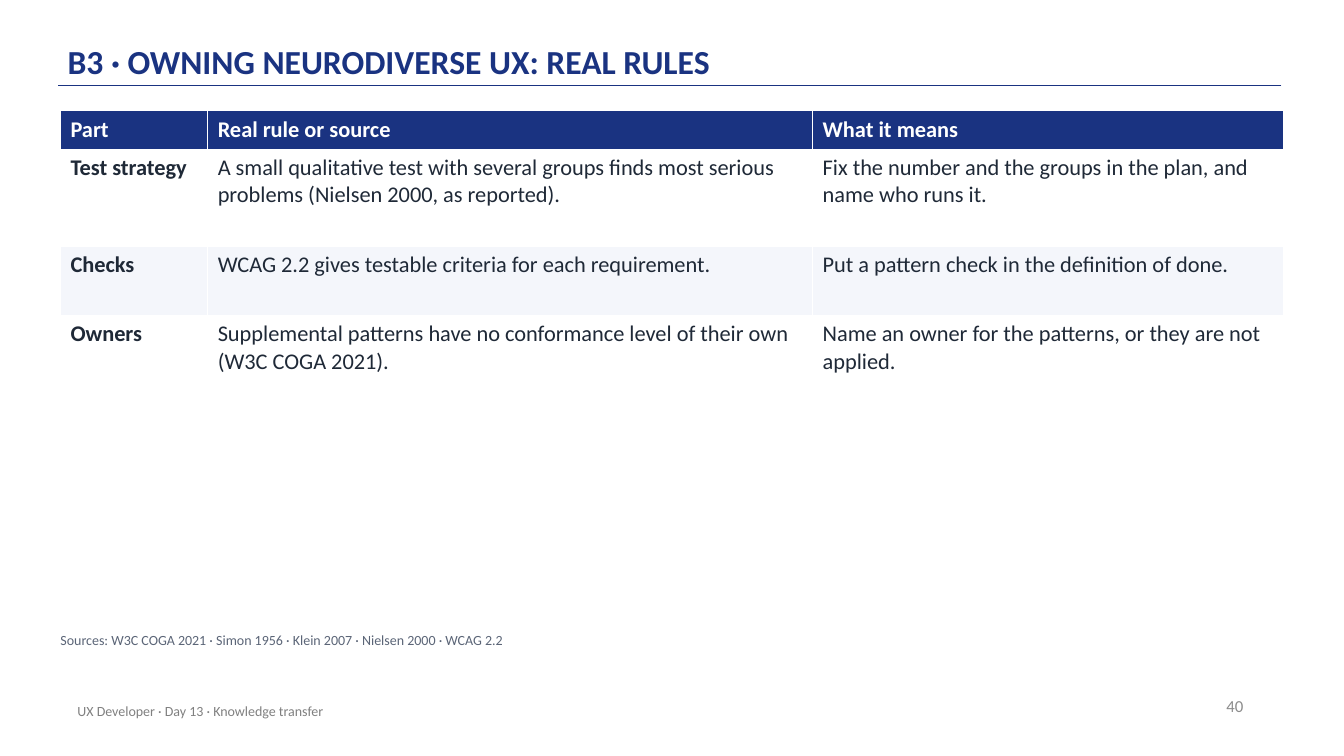
from lxml.etree import SubElement
from pptx import Presentation
from pptx.dml.color import RGBColor
from pptx.enum.shapes import MSO_CONNECTOR
from pptx.enum.text import MSO_ANCHOR, MSO_AUTO_SIZE, PP_ALIGN
from pptx.oxml.ns import qn
from pptx.util import Inches, Pt

COLORS = {
    "navy": "1A3381", "white": "FFFFFF", "band": "F4F6FB", "ink": "1F2937",
    "source": "5B6577", "footer": "808080", "number": "8C8C8C",
}
COLUMNS = [1.46, 6, 4.67]
ROW_HEIGHTS = [0.38, 0.96, 0.69, 0.69]
ROWS = [
    ["Part", "Real rule or source", "What it means"],
    ["Test strategy",
     "A small qualitative test with several groups finds most serious problems (Nielsen 2000, as reported).",
     "Fix the number and the groups in the plan, and name who runs it."],
    ["Checks", "WCAG 2.2 gives testable criteria for each requirement.",
     "Put a pattern check in the definition of done."],
    ["Owners", "Supplemental patterns have no conformance level of their own (W3C COGA 2021).",
     "Name an owner for the patterns, or they are not applied."],
]


def rgb(name):
    """Return the palette colour with this name."""
    return RGBColor.from_string(COLORS[name])


def write(tf, text, size, color, bold=False):
    """Set one paragraph of text, format its run and return the paragraph."""
    tf.text = text
    p = tf.paragraphs[0]
    font = p.runs[0].font
    font.name, font.size, font.bold = "Calibri", Pt(size), bold
    font.color.rgb = rgb(color)
    return p


def set_margins(tf, side, end):
    """Set the side and the top and bottom insets of a text frame."""
    tf.margin_left = tf.margin_right = Inches(side)
    tf.margin_top = tf.margin_bottom = Inches(end)


def add_heading(slide, left, top, width, height):
    """Place the title and the rule beneath it."""
    sp = slide.shapes.title
    sp.left, sp.top, sp.width, sp.height = map(Inches, (left, top, width, height))
    tf = sp.text_frame
    tf.word_wrap = True
    tf.auto_size = MSO_AUTO_SIZE.NONE
    tf.vertical_anchor = MSO_ANCHOR.BOTTOM
    set_margins(tf, 0, 0.03)
    p = write(tf, "B3 · OWNING NEURODIVERSE UX: REAL RULES", 24, "navy", True)
    p.alignment = PP_ALIGN.LEFT
    p.line_spacing = 0.9
    y = Inches(top + height + 0.01)
    line = slide.shapes.add_connector(
        MSO_CONNECTOR.STRAIGHT, Inches(left + 12.04), y, Inches(left - 0.09), y)
    line.line.color.rgb = rgb("navy")
    line.line.width = Pt(1)
    SubElement(line._element.spPr, qn("a:effectLst"))


def add_rules_table(slide, left, top):
    """Place the table of rules with banded body rows."""
    table = slide.shapes.add_table(
        len(ROWS), len(COLUMNS), Inches(left), Inches(top),
        Inches(sum(COLUMNS)), Inches(sum(ROW_HEIGHTS))).table
    for column, width in zip(table.columns, COLUMNS):
        column.width = Inches(width)
    for r, (texts, height) in enumerate(zip(ROWS, ROW_HEIGHTS)):
        table.rows[r].height = Inches(height)
        fill = "navy" if r == 0 else "white" if r % 2 else "band"
        for c, text in enumerate(texts):
            cell = table.cell(r, c)
            cell.fill.solid()
            cell.fill.fore_color.rgb = rgb(fill)
            write(cell.text_frame, text, 16, "ink" if r else "white", r == 0 or c == 0)


def add_label(slide, left, top, width, height, text, size, color):
    """Place a small text box and return its text frame."""
    sp = slide.shapes.add_textbox(*map(Inches, (left, top, width, height)))
    tf = sp.text_frame
    tf.word_wrap = True
    write(tf, text, size, color)
    return tf


def add_sources(slide, left, top, width, height):
    """Place the line of sources."""
    tf = add_label(slide, left, top, width, height,
                   "Sources: W3C COGA 2021 · Simon 1956 · Klein 2007 · Nielsen 2000 · WCAG 2.2",
                   10, "source")
    set_margins(tf, 0, 0)
    tf.auto_size = MSO_AUTO_SIZE.SHAPE_TO_FIT_TEXT
    tf.paragraphs[0].space_after = Pt(6)


def add_footer(slide, left, top, width, height):
    """Place the course name at the left and the slide number at the right."""
    name = add_label(slide, left, top, 6.7, height,
                     "UX Developer · Day 13 · Knowledge transfer", 10, "footer")
    number = add_label(slide, left + width - 3, top - 0.05, 3, height, "40", 12, "number")
    number.paragraphs[0].alignment = PP_ALIGN.RIGHT
    for tf in (name, number):
        tf.vertical_anchor = MSO_ANCHOR.MIDDLE


def main():
    """Build and save the slide."""
    prs = Presentation()
    prs.slide_width, prs.slide_height = Inches(13.33), Inches(7.5)
    slide = prs.slides.add_slide(prs.slide_layouts[5])
    add_heading(slide, 0.67, 0.12, 11, 0.72)
    add_footer(slide, 0.67, 6.85, 11.76, 0.4)
    add_rules_table(slide, 0.6, 1.1)
    add_sources(slide, 0.6, 6.27, 12.1, 0.3)
    prs.save("out.pptx")


if __name__ == "__main__":
    main()
